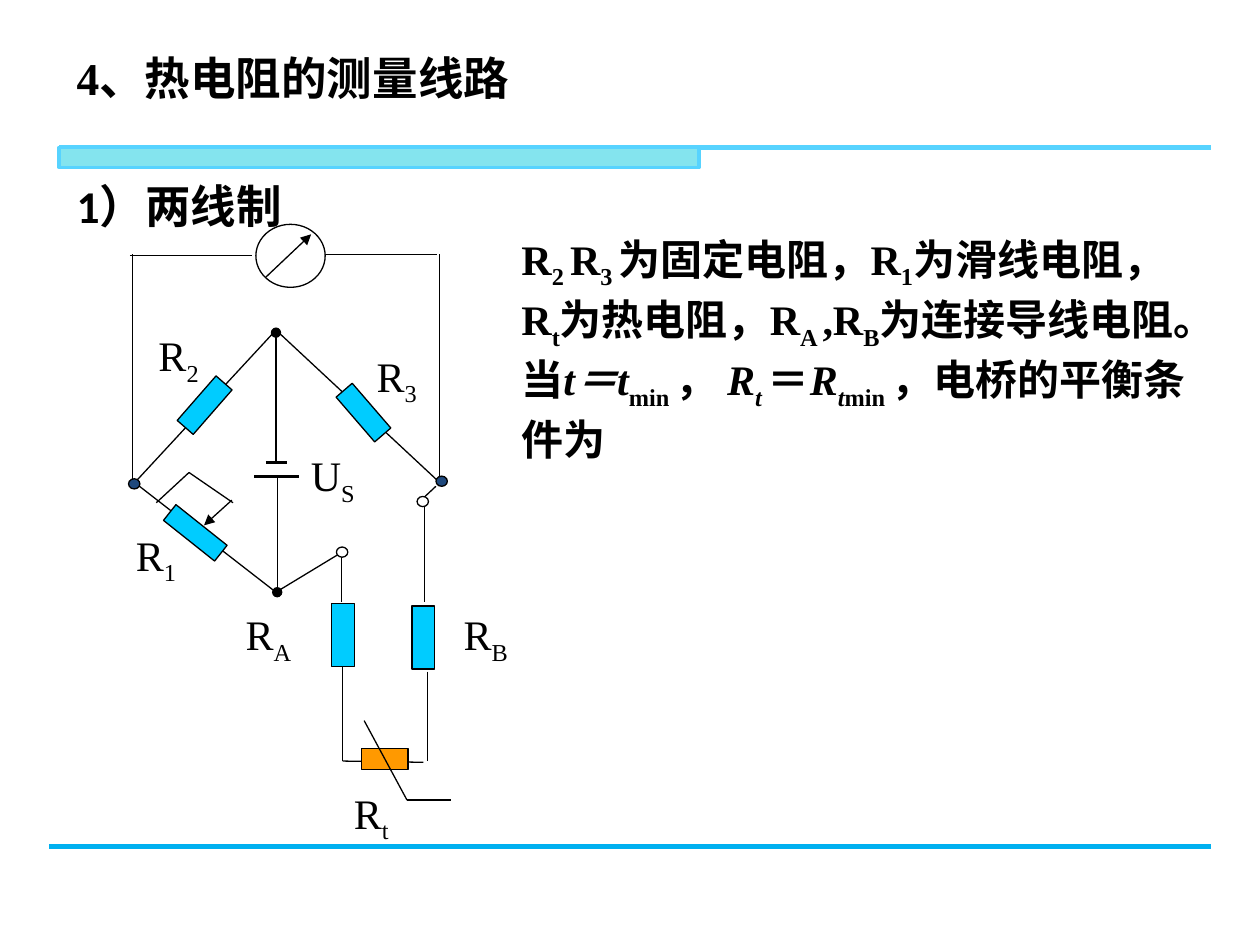
from pptx import Presentation
from pptx.dml.color import RGBColor
from pptx.enum.shapes import MSO_CONNECTOR, MSO_SHAPE
from pptx.oxml.ns import qn
from pptx.util import Pt
from lxml import etree

LINE = MSO_CONNECTOR.STRAIGHT
RECT, OVAL = MSO_SHAPE.RECTANGLE, MSO_SHAPE.OVAL
SERIF, SANS = "Times New Roman", "Calibri"
BLACK, WHITE, NAVY = "000000", "FFFFFF", "1F497D"
CYAN, ORANGE, SKY = "00CCFF", "FF9900", "57D3FF"
THIN = 0.75

# Text runs: (text, style); s = subscript, i = italic, c = Calibri
HEADINGS = [
    (25.2, [("4、", ""), ("热电阻的测量线路", "c")]),
    (98, [("1）两线制", "c")]),
]
EXPLANATION = [
    [("R", ""), ("2 ", "s"), ("R", ""), ("3 ", "s"), ("为固定电阻，R", ""), ("1", "s"),
     ("为滑线电阻，R", ""), ("t", "s"), ("为热电阻，R", ""), ("A ", "s"), (",R", ""),
     ("B", "s"), ("为连接导线电阻。", "")],
    [("当", ""), ("t＝t", "i"), ("min ", "s"), ("， ", ""), ("R", "i"), ("t ", "is"),
     ("＝", ""), ("R", "i"), ("t", "is"), ("min ", "s"), ("，电桥的平衡条件为", "")],
]
# Labels: letter, subscript, left, top, width
LABELS = [
    ("U", "S", 170.6, 253.4, 49.7), ("R", "1", 70.6, 298.8, 49),
    ("R", "B", 257.8, 344.2, 46.1), ("R", "3", 208.1, 196.6, 53.3),
    ("R", "2", 83.5, 185, 53.3), ("R", "A", 133.2, 344.2, 56.2),
    ("R", "t", 195.1, 446.4, 43.2),
]

# Circuit nodes and lines: x1, y1, x2, y2
TOP, BOTTOM = (157.7, 188.6), (157.7, 338.4)
LEFT, RIGHT = (77, 275.8), (251.3, 275.8)
TERM_A, TERM_B = (195.5, 315.5), (241.6, 286.6)
WIRES = [
    (185.8, 145.4, 249.8, 145.4), (74.2, 146.2, 144, 146.2),    # to the meter
    (75.6, 145.4, 75.6, 275.8), (251.3, 145.4, *RIGHT),
    (*LEFT, *TOP), (*TOP, *RIGHT), (*LEFT, *BOTTOM),            # bridge arms
    (*BOTTOM, *TERM_A), (249.1, 277.9, 239.8, 286.6),           # to the terminals
    (195.1, 315.4, 195.1, 344.2), (242.6, 287.3, 242.6, 344.2),
    (195.8, 380.9, 195.8, 434.9), (195.8, 434.9, 241.9, 435.6), # to the thermistor
    (244.1, 383.8, 244.1, 434.9),
    (89.3, 287.3, 108, 270), (108, 270, 133.2, 287.3),          # slider of R1
]
DOTTED_WIRES = [(157.7, 264.2, 157.7, 190.1), (158.4, 272.9, 158.4, 338.4)]
BATTERY = [(145.4, 272.2, 170.6, 272.2), (151.9, 264.2, 164.2, 264.2)]
ARROWS = [(151.9, 158.4, 177.8, 133.9), (132.5, 285.8, 116.6, 300.2)]
THERMISTOR_MARK = [(208.1, 411.8, 232.6, 457.2), (232.6, 457.2, 257.8, 457.2)]

# Parts: shape, left, top, width, height, rotation, fill
PARTS = [
    (OVAL, 146.2, 128.2, 39.6, 36, 0, WHITE),
    (RECT, 189.4, 344.9, 13, 36, 0, CYAN), (RECT, 235.4, 346.3, 13, 36, 0, CYAN),
    (RECT, 213.8, 420.5, 12.2, 26.6, 90, ORANGE),
    (RECT, 100.1, 225.4, 33.8, 12.2, 311.1, CYAN),
    (RECT, 190.8, 229.7, 33.8, 12.2, 49.2, CYAN),
    (RECT, 92.9, 298.8, 37.4, 11.5, 38.5, CYAN),
]
DOT_W, DOT_H = 6.5, 5.8
DOTS = [((76.7, 276.5), NAVY), ((252.4, 275), NAVY), (TERM_B, WHITE), (TERM_A, WHITE)]

prs = Presentation()
prs.slide_width, prs.slide_height = Pt(720), Pt(540)
s = prs.slides.add_slide(prs.slide_layouts[6])


def rgb(value):
    return RGBColor.from_string(value)


def add_line(x1, y1, x2, y2, color=BLACK, width=THIN, tail=None):
    cn = s.shapes.add_connector(LINE, Pt(x1), Pt(y1), Pt(x2), Pt(y2))
    cn.line.color.rgb = rgb(color)
    cn.line.width = Pt(width)
    if tail:
        etree.SubElement(cn.line._get_or_add_ln(), qn("a:tailEnd"), type=tail)
    etree.SubElement(cn._element.spPr, qn("a:effectLst"))


def add_part(kind, x, y, w, h, rotation, fill, color=BLACK, width=THIN):
    sp = s.shapes.add_shape(kind, Pt(x), Pt(y), Pt(w), Pt(h))
    sp.shadow.inherit = False
    sp.rotation = rotation
    sp.fill.solid()
    sp.fill.fore_color.rgb = rgb(fill)
    sp.line.color.rgb = rgb(color)
    sp.line.width = Pt(width)


def add_text(x, y, w, h, paragraphs, size=24, bold=False, spacing=None):
    tf = s.shapes.add_textbox(Pt(x), Pt(y), Pt(w), Pt(h)).text_frame
    tf.word_wrap = True
    for i, runs in enumerate(paragraphs):
        p = tf.add_paragraph() if i else tf.paragraphs[0]
        p.line_spacing = spacing
        for text, style in runs:
            r = p.add_run()
            r.text = text
            r.font.name = SANS if "c" in style else SERIF
            r.font.size = Pt(size)
            r.font.bold = bold
            r.font.italic = "i" in style
            r.font.color.rgb = rgb(BLACK)
            if "s" in style:
                r.font._element.set("baseline", "-25000")


# Header and footer rules
add_line(33.8, 84.2, 691.9, 84.2, SKY, 3)
add_part(RECT, 33.8, 84.2, 365.8, 11.5, 0, "84E4EE", SKY, 2)
add_line(28.1, 483.8, 686.2, 483.8, SKY, 3)
add_line(28.1, 483.8, 691.9, 483.8, "00B0F0", 3)

# Headings and explanation
for top, runs in HEADINGS:
    add_text(36.7, top, 640.8, 44, [runs], size=26, bold=True)
add_text(290.9, 128.2, 402.5, 129.6, EXPLANATION, bold=True, spacing=1.05)

# Circuit: wires below, then parts, then the marks on top of them
for wire in WIRES:
    add_line(*wire)
for wire in DOTTED_WIRES:
    add_line(*wire, tail="oval")
for plate in BATTERY:
    add_line(*plate, width=1.75)
for part in PARTS:
    add_part(*part)
for (x, y), fill in DOTS:
    add_part(OVAL, x - DOT_W / 2, y - DOT_H / 2, DOT_W, DOT_H, 0, fill)
for arrow in ARROWS:
    add_line(*arrow, tail="triangle")
for mark in THERMISTOR_MARK:
    add_line(*mark)
for letter, sub, x, y, w in LABELS:
    add_text(x, y, w, 39.6, [[(letter, ""), (sub, "s")]])

prs.save("out.pptx")
